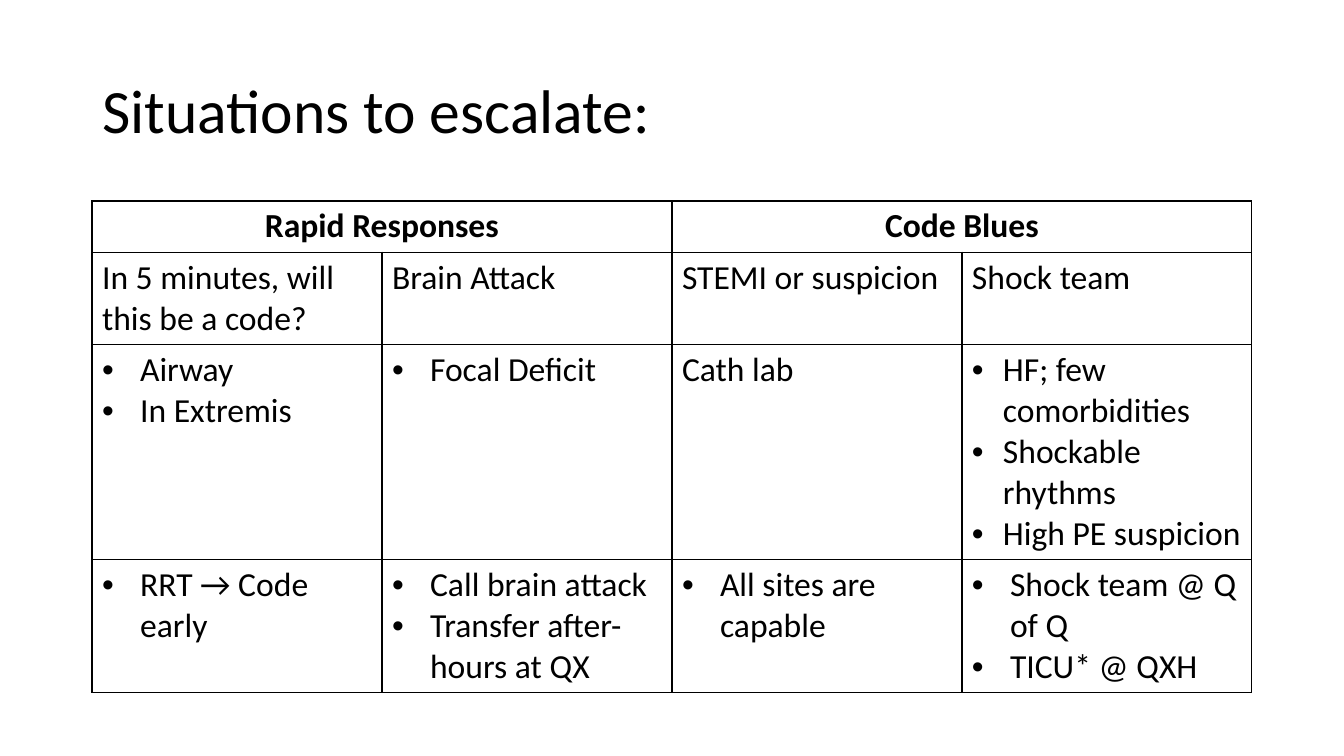
"""Build the slide that lists situations to escalate."""
from dataclasses import dataclass

from lxml import etree
from pptx import Presentation, util as u
from pptx.dml.color import RGBColor
from pptx.enum import text
from pptx.oxml import ns

SCALE = 914400 / 100.8
FONT = "Calibri"
BLACK = "000000"
TITLE_ONLY = 5
COLUMN_WIDTH = 290
ROW_HEIGHTS = (51, 92, 215, 133)


@dataclass(frozen=True)
class Entry:
    """Lines of one table cell; a positive indent makes them bullets."""

    lines: tuple[str, ...]
    indent: int = 0


HEADINGS = ("Rapid Responses", "Code Blues")
ROWS = (
    (
        Entry(("In 5 minutes, will this be a code?",)),
        Entry(("Brain Attack",)),
        Entry(("STEMI or suspicion",)),
        Entry(("Shock team",)),
    ),
    (
        Entry(("Airway", "In Extremis"), 38),
        Entry(("Focal Deficit",), 38),
        Entry(("Cath lab",)),
        Entry(("HF; few comorbidities", "Shockable rhythms", "High PE suspicion"), 31),
    ),
    (
        Entry(("RRT → Code early",), 38),
        Entry(("Call brain attack", "Transfer after-hours at QX"), 38),
        Entry(("All sites are capable",), 38),
        Entry(("Shock team @ Q of Q", "TICU* @ QXH"), 38),
    ),
)


def px(length: int) -> u.Emu:
    """Turn pixels into EMU."""
    return u.Emu(round(length * SCALE))


def colour(value: str) -> RGBColor:
    """Turn a hex string into a colour."""
    return RGBColor.from_string(value)


def write(para, words: str, *, size: int = 24, bold: bool = False,
          align=text.PP_ALIGN.LEFT, indent: int = 0) -> None:
    """Put formatted words into a paragraph."""
    para.alignment = align
    span = para.add_run()
    span.text = words
    span.font.name = FONT
    span.font.size = u.Pt(size)
    span.font.bold = bold
    span.font.color.rgb = colour(BLACK)
    if indent:
        props = para._p.get_or_add_pPr()
        props.set("marL", str(px(indent)))
        props.set("indent", str(-px(indent)))
        etree.SubElement(props, ns.qn("a:buFont")).set("typeface", "Arial")
        etree.SubElement(props, ns.qn("a:buChar")).set("char", "•")


def style_cell(cell) -> None:
    """Give a cell thin black borders and no fill."""
    props = cell._tc.get_or_add_tcPr()
    for side in ("lnL", "lnR", "lnT", "lnB"):
        line = etree.SubElement(props, ns.qn(f"a:{side}"), w=str(u.Pt(1)))
        fill = etree.SubElement(line, ns.qn("a:solidFill"))
        etree.SubElement(fill, ns.qn("a:srgbClr")).set("val", BLACK)
    cell.fill.background()


def fill_cell(cell, entry: Entry) -> None:
    """Write an entry into a cell, one paragraph a line."""
    frame = cell.text_frame
    for number, line in enumerate(entry.lines):
        para = frame.add_paragraph() if number else frame.paragraphs[0]
        write(para, line, indent=entry.indent)


def add_title(page) -> None:
    """Place and format the title."""
    box = page.shapes.title
    box.left, box.top, box.width, box.height = map(px, (92, 41, 1160, 146))
    frame = box.text_frame
    frame.auto_size = text.MSO_AUTO_SIZE.NONE
    frame.vertical_anchor = text.MSO_ANCHOR.MIDDLE
    para = frame.paragraphs[0]
    para.line_spacing = 0.9
    write(para, "Situations to escalate:", size=44)


def add_escalation_table(page) -> None:
    """Draw the table with its two paired headings."""
    columns = len(ROWS[0])
    table = page.shapes.add_table(
        len(ROW_HEIGHTS), columns, px(92), px(201),
        px(COLUMN_WIDTH * columns), px(sum(ROW_HEIGHTS))).table
    table.first_row = table.horz_banding = False
    for column in table.columns:
        column.width = px(COLUMN_WIDTH)
    for row, height in zip(table.rows, ROW_HEIGHTS):
        row.height = px(height)
    for cell in table.iter_cells():
        style_cell(cell)
    for number, heading in enumerate(HEADINGS):
        cell = table.cell(0, 2 * number)
        cell.merge(table.cell(0, 2 * number + 1))
        write(cell.text_frame.paragraphs[0], heading, bold=True,
              align=text.PP_ALIGN.CENTER)
    for down, entries in enumerate(ROWS, start=1):
        for across, entry in enumerate(entries):
            fill_cell(table.cell(down, across), entry)


def main() -> None:
    """Build and save the deck."""
    deck = Presentation()
    deck.slide_width, deck.slide_height = px(1344), px(756)
    page = deck.slides.add_slide(deck.slide_layouts[TITLE_ONLY])
    add_title(page)
    add_escalation_table(page)
    deck.save("out.pptx")


if __name__ == "__main__":
    main()
